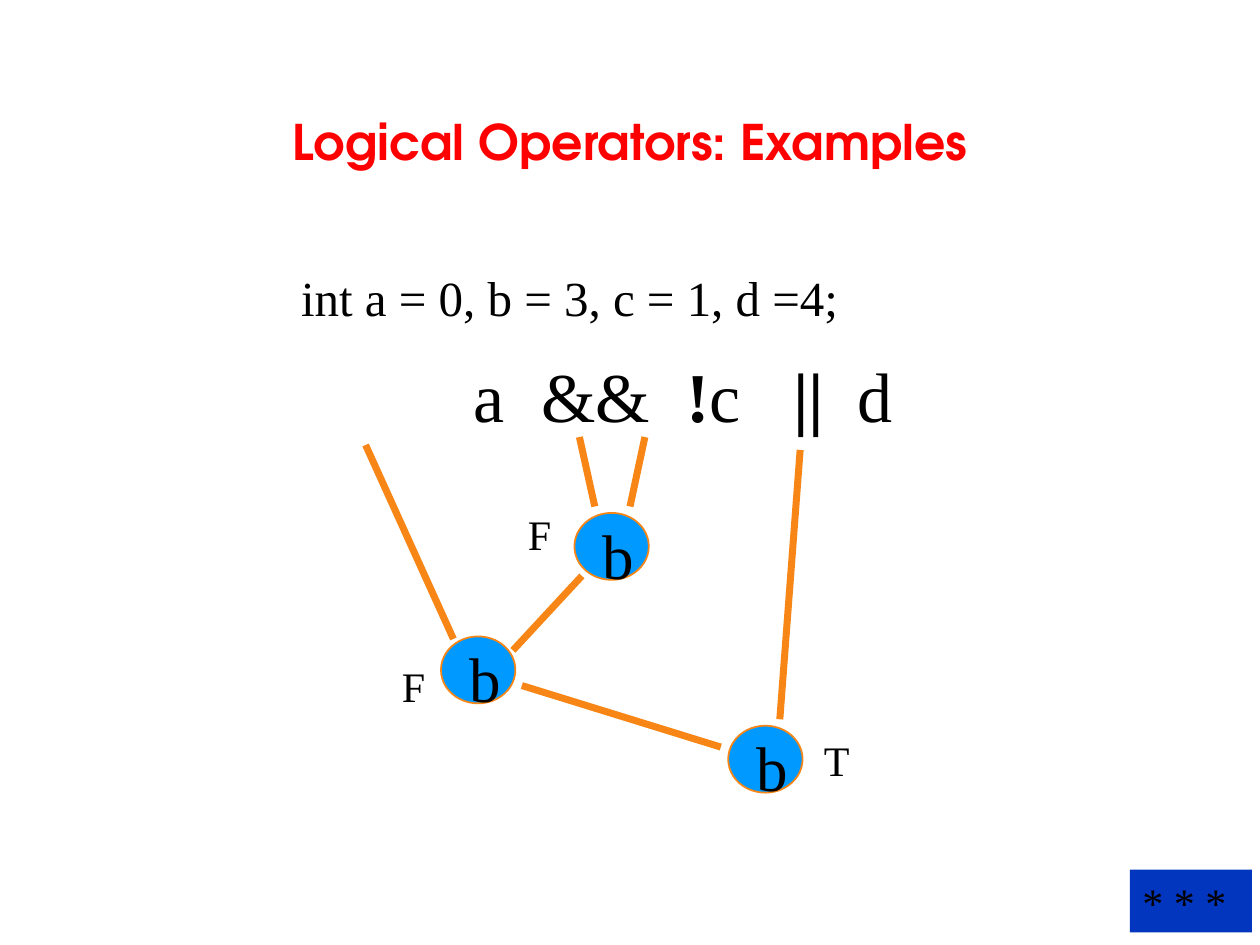
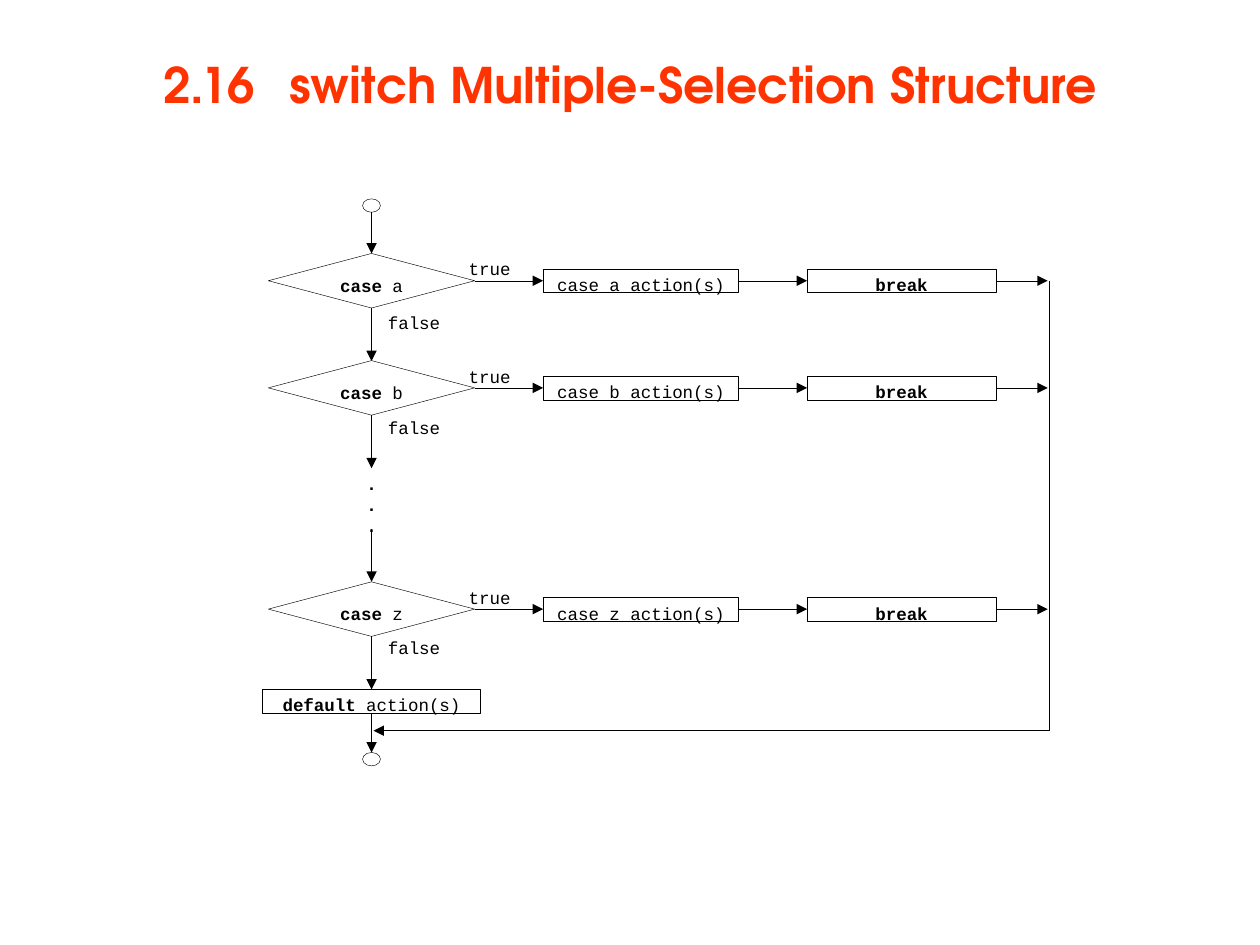
from pptx import Presentation
from pptx.dml.color import RGBColor
from pptx.enum.shapes import MSO_CONNECTOR, MSO_SHAPE
from pptx.enum.text import MSO_ANCHOR, MSO_AUTO_SIZE, PP_ALIGN
from pptx.oxml.ns import qn
from pptx.util import Cm, Pt
from lxml import etree

LEFT, CENTER = PP_ALIGN.LEFT, PP_ALIGN.CENTER
TOP, MIDDLE = MSO_ANCHOR.TOP, MSO_ANCHOR.MIDDLE
RECTANGLE, ELLIPSE, DIAMOND = MSO_SHAPE.RECTANGLE, MSO_SHAPE.OVAL, MSO_SHAPE.DIAMOND
STRAIGHT = MSO_CONNECTOR.STRAIGHT
NO_AUTOFIT = MSO_AUTO_SIZE.NONE

SERIF, MONO, DISPLAY = "Times New Roman", "Courier New", "TeX Gyre Adventor"
BLACK, WHITE, RED, SCARLET = "000000", "FFFFFF", "FF0000", "FF3300"
ORANGE, SKY, NAVY = "F78617", "0099FF", "0336BE"
PADDING = (0.25, 0.13, 0.25, 0.13)
NO_PADDING = (0, 0, 0, 0)

DECLARATION = "int a = 0, b = 3, c = 1, d =4;"
EXPRESSION = [("\ta\t&&\t", False), ("!", True), ("c\t", False), ("||", True), ("\td", False)]
EXPRESSION_TABS = (3.48, 4.84, 7.76, 9.92, 11.21)
NODES = [(11.58, 10.34), (8.89, 12.83), (14.68, 14.63)]
NODE_WIDTH, NODE_HEIGHT = 1.5, 1.35
NODE_VALUES = [("F", 10.39, 10.13), ("F", 7.85, 13.18), ("T", 16.36, 14.68)]
BRANCHES = [
    (13, 8.81, 12.7, 10.21),
    (11.99, 10.21, 11.68, 8.81),
    (11.73, 11.61, 10.34, 13.11),
    (7.37, 8.97, 9.14, 12.88),
    (16.13, 9.07, 15.72, 14.5),
    (14.53, 15.06, 10.52, 13.82),
]

CASES = [("a", 5.66, 6.3), ("b", 7.82, 8.41), ("z", 12.28, 12.85)]
FLOW_X, EXIT_X = 7.49, 21.16
DIAMOND_WIDTH, DIAMOND_HEIGHT = 4.16, 1.1
ACTION_LEFT, ACTION_WIDTH = 10.95, 3.94
BREAK_LEFT, BREAK_WIDTH = 16.27, 3.81
BOX_HEIGHT, DROP = 0.48, 1.07
DEFAULT_TOP, DEFAULT_WIDTH = 13.89, 4.39
RETURN_Y = 14.73
START_TOP, END_TOP = 4.01, 15.17
TERMINAL_WIDTH, TERMINAL_HEIGHT = 0.36, 0.27


def color(value):
    return RGBColor.from_string(value)


def set_tabs(para, stops):
    tab_list = etree.SubElement(para._p.get_or_add_pPr(), qn("a:tabLst"))
    for stop in stops:
        etree.SubElement(tab_list, qn("a:tab"), pos=str(Cm(stop)), algn="l")


def write(shape, paragraphs, size=10, font=MONO, ink=BLACK, bold=False, align=LEFT,
          anchor=TOP, padding=NO_PADDING, wrap=True, space=0, tabs=()):
    frame = shape.text_frame
    frame.auto_size = NO_AUTOFIT
    frame.word_wrap = wrap
    frame.vertical_anchor = anchor
    frame.margin_left, frame.margin_top, frame.margin_right, frame.margin_bottom = map(Cm, padding)
    if isinstance(paragraphs, str):
        paragraphs = [paragraphs]
    for index, content in enumerate(paragraphs):
        para = frame.paragraphs[0] if index == 0 else frame.add_paragraph()
        para.alignment = align
        para.space_before = Pt(space if index else 0)
        if tabs:
            set_tabs(para, tabs)
        spans = [(content, bold)] if isinstance(content, str) else content
        for text, heavy in spans:
            span = para.add_run()
            span.text = text
            span.font.name = font
            span.font.size = Pt(size)
            span.font.bold = heavy
            span.font.color.rgb = color(ink)
    return frame


def add_text(page, place, paragraphs, **style):
    box = page.shapes.add_textbox(*map(Cm, place))
    return write(box, paragraphs, **style)


def add_box(page, kind, place, fill=None, line=BLACK, width=0.25):
    box = page.shapes.add_shape(kind, *map(Cm, place))
    box.shadow.inherit = False
    if fill:
        box.fill.solid()
        box.fill.fore_color.rgb = color(fill)
    else:
        box.fill.background()
    if line:
        box.line.color.rgb = color(line)
        box.line.width = Pt(width)
    else:
        box.line.fill.background()
    return box


def add_line(page, ends, ink=BLACK, width=0.25, arrow=True):
    line = page.shapes.add_connector(STRAIGHT, *map(Cm, ends))
    line.line.color.rgb = color(ink)
    line.line.width = Pt(width)
    if arrow:
        etree.SubElement(line.line._get_or_add_ln(), qn("a:tailEnd"), type="triangle")
    etree.SubElement(line._element.spPr, qn("a:effectLst"))


def add_page(deck, title, place, ink, tabs=()):
    page = deck.slides.add_slide(deck.slide_layouts[5])
    heading = page.shapes.title
    heading.left, heading.top, heading.width, heading.height = map(Cm, place)
    write(heading, title, size=28, font=DISPLAY, ink=ink, bold=True, align=CENTER,
          anchor=MIDDLE, padding=PADDING, tabs=tabs)
    return page


def build_operators(deck):
    page = add_page(deck, "Logical Operators: Examples", (1.9, 0.84, 21.6, 4.01), RED)
    frame = add_text(page, (5.82, 5.26, 13.84, 4.52), [DECLARATION, EXPRESSION], size=28,
                     font=SERIF, padding=PADDING, space=15, tabs=EXPRESSION_TABS)
    for span in frame.paragraphs[1].runs:
        span.font.size = Pt(40)
    for branch in BRANCHES:
        add_line(page, branch, ink=ORANGE, width=4, arrow=False)
    for left, top in NODES:
        node = add_box(page, ELLIPSE, (left, top, NODE_WIDTH, NODE_HEIGHT), SKY, ORANGE, 1)
        write(node, "b", size=36, font=SERIF, align=CENTER, anchor=MIDDLE,
              padding=(0.28, 0.3, 0, 0))
    for value, left, top in NODE_VALUES:
        add_text(page, (left, top, 1, 1.27), value, size=24, font=SERIF,
                 padding=PADDING, wrap=False)
    badge = add_box(page, RECTANGLE, (22.78, 17.53, 2.46, 1.27), NAVY, None)
    write(badge, "* * *", size=24, font=SERIF, padding=PADDING)


def add_case(page, name, middle, false_top):
    box_top = middle - BOX_HEIGHT / 2
    diamond_left = FLOW_X - DIAMOND_WIDTH / 2
    diamond_right = FLOW_X + DIAMOND_WIDTH / 2
    bottom = middle + DIAMOND_HEIGHT / 2
    test = add_box(page, DIAMOND, (diamond_left, middle - DIAMOND_HEIGHT / 2,
                                   DIAMOND_WIDTH, DIAMOND_HEIGHT), WHITE)
    write(test, [[("case", True), (f" {name}", False)]], align=CENTER,
          padding=(0, 0.15, 0, 0))
    action = add_box(page, RECTANGLE, (ACTION_LEFT, box_top, ACTION_WIDTH, BOX_HEIGHT))
    write(action, f"case {name} action(s)", align=CENTER, padding=(0, 0.11, 0, 0))
    leave = add_box(page, RECTANGLE, (BREAK_LEFT, box_top, BREAK_WIDTH, BOX_HEIGHT))
    write(leave, "break", bold=True, align=CENTER, padding=(0, 0.11, 0, 0))
    for start, end in [(diamond_right, ACTION_LEFT), (ACTION_LEFT + ACTION_WIDTH, BREAK_LEFT),
                       (BREAK_LEFT + BREAK_WIDTH, EXIT_X - 0.04)]:
        add_line(page, (start, middle, end, middle))
    add_line(page, (FLOW_X, bottom, FLOW_X, bottom + DROP))
    add_text(page, (9.45, middle - 0.45, 1.22, 0.53), "true")
    add_text(page, (7.82, false_top, 1.5, 0.53), "false")


def build_switch(deck):
    page = add_page(deck, "2.16\tswitch Multiple-Selection Structure",
                    (1.9, 0.2, 21.6, 2.97), SCARLET, tabs=(2.54,))
    for top in (START_TOP, END_TOP):
        add_box(page, ELLIPSE, (FLOW_X - TERMINAL_WIDTH / 2, top, TERMINAL_WIDTH, TERMINAL_HEIGHT))
    for case in CASES:
        add_case(page, *case)
    first_top, last_top = (CASES[index][1] - DIAMOND_HEIGHT / 2 for index in (0, -1))
    add_line(page, (FLOW_X, START_TOP + TERMINAL_HEIGHT, FLOW_X, first_top))
    add_text(page, (FLOW_X - 0.18, 9.53, 0.36, 1.32), [".", ".", "."], bold=True, align=CENTER)
    add_line(page, (FLOW_X, last_top - DROP, FLOW_X, last_top))
    default = add_box(page, RECTANGLE, (FLOW_X - DEFAULT_WIDTH / 2, DEFAULT_TOP,
                                        DEFAULT_WIDTH, BOX_HEIGHT))
    write(default, [[("default", True), (" action(s)", False)]], align=CENTER,
          padding=(0, 0.11, 0, 0))
    add_line(page, (FLOW_X, DEFAULT_TOP + BOX_HEIGHT, FLOW_X, END_TOP))
    add_line(page, (EXIT_X, CASES[0][1], EXIT_X, RETURN_Y), arrow=False)
    add_line(page, (EXIT_X, RETURN_Y, FLOW_X + 0.04, RETURN_Y))


def main():
    deck = Presentation()
    deck.slide_width, deck.slide_height = Cm(25.4), Cm(19.05)
    build_operators(deck)
    build_switch(deck)
    deck.save("out.pptx")


if __name__ == "__main__":
    main()
